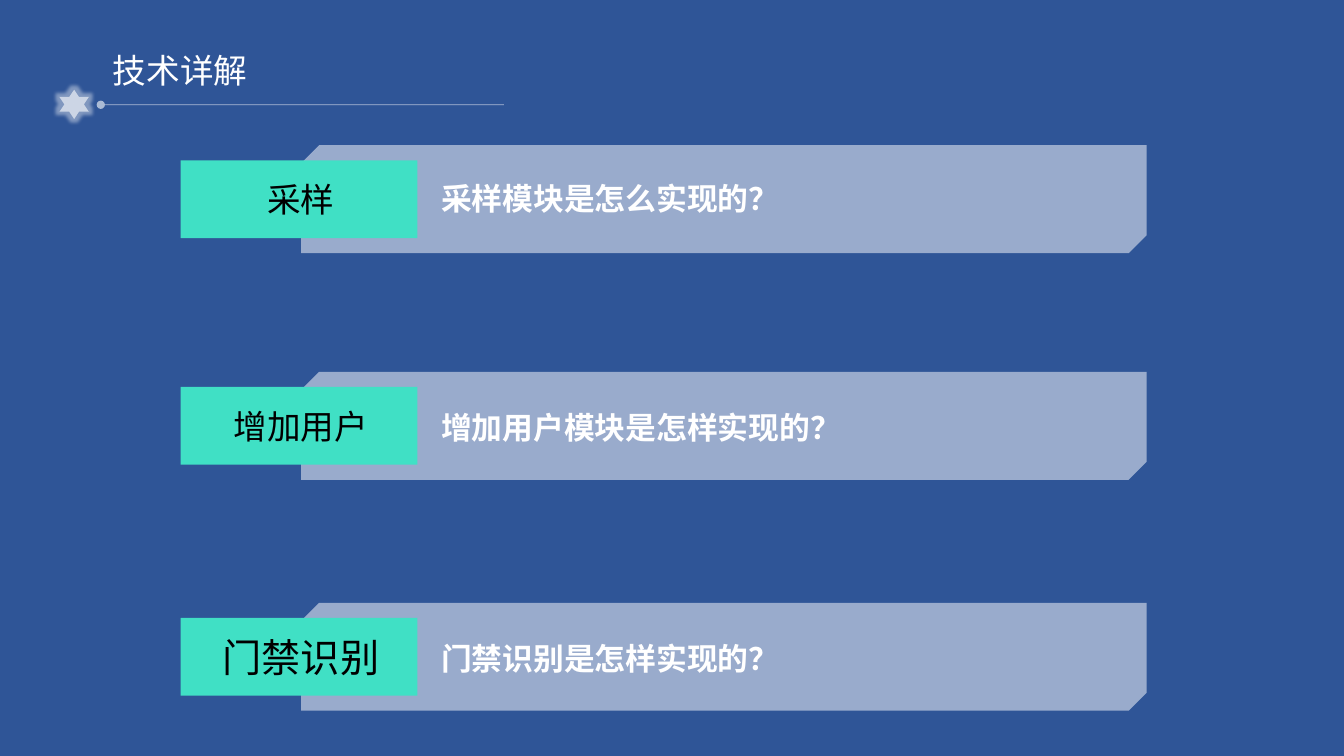
import pptx
import pptx.util
import pptx.dml.color
import pptx.enum.shapes
import pptx.enum.text
import pptx.oxml
import pptx.oxml.ns
from pptx.util import Cm

# Content
TITLE = "技术详解"
MODULES = [  # tab label, label size, question, panel top, question offset
    ("采样", 24, "采样模块是怎么实现的？", 3.66, 0.74),
    ("增加用户", 24, "增加用户模块是怎样实现的？", 9.37, 0.81),
    ("门禁识别", 28, "门禁识别是怎样实现的？", 15.19, 0.81),
]
COLORS = {"back": "2F5597", "white": "FFFFFF", "tab": "40E0C5", "black": "000000"}
FONT = "Noto Sans CJK SC"
PANEL_H, TAB_H = 2.72, 1.96

SHAPE = pptx.enum.shapes.MSO_SHAPE
ANCHOR = pptx.enum.text.MSO_ANCHOR
ALIGN = pptx.enum.text.PP_ALIGN
qn = pptx.oxml.ns.qn


def rgb(name):
    return pptx.dml.color.RGBColor.from_string(COLORS[name])


def add_xml(parent, xml):
    tag, rest = xml.split(" ", 1)
    node = pptx.oxml.parse_xml(f"{tag} {pptx.oxml.ns.nsdecls('a')} {rest}")
    parent.append(node)


def set_alpha(fill, percent):
    for color in fill._xPr.iter(qn("a:srgbClr")):
        add_xml(color, f'<a:alpha val="{percent * 1000}"/>')


def add_shape(s, kind, box, color, alpha=100):
    sp = s.shapes.add_shape(kind, *map(Cm, box))
    sp.shadow.inherit = False
    sp.fill.solid()
    sp.fill.fore_color.rgb = rgb(color)
    if alpha < 100:
        set_alpha(sp.fill, alpha)
    sp.line.fill.background()
    return sp


def write(sp, text, size, color, bold=False, align=ALIGN.LEFT, anchor=ANCHOR.TOP):
    tf = sp.text_frame
    tf.word_wrap = True
    tf.auto_size = pptx.enum.text.MSO_AUTO_SIZE.NONE
    tf.vertical_anchor = anchor
    p = tf.paragraphs[0]
    p.alignment = align
    r = p.add_run()
    r.text = text
    r.font.size = pptx.util.Pt(size)
    r.font.bold = bold
    r.font.name = FONT
    r.font.color.rgb = rgb(color)
    add_xml(r.font._element, f'<a:ea typeface="{FONT}"/>')
    return p


prs = pptx.Presentation()
prs.slide_width, prs.slide_height = Cm(33.87), Cm(19.05)
s = prs.slides.add_slide(prs.slide_layouts[5])
s.background.fill.solid()
s.background.fill.fore_color.rgb = rgb("back")

# Title with its rule and star
title = s.shapes.title
title.left, title.top, title.width, title.height = map(Cm, (2.59, 1.12, 10.01, 2.31))
write(title, TITLE, 24, "white")

rule = s.shapes.add_connector(
    pptx.enum.shapes.MSO_CONNECTOR.STRAIGHT, Cm(12.7), Cm(2.64), Cm(2.54), Cm(2.64))
rule.line.width = pptx.util.Pt(0.5)
rule.line.color.rgb = rgb("white")
set_alpha(rule.line.fill, 60)
add_xml(rule.line._get_or_add_ln(), '<a:tailEnd type="oval"/>')
add_xml(rule._element.spPr, "<a:effectLst />")

star = add_shape(s, SHAPE.STAR_6_POINT, (1.5, 2.26, 0.74, 0.74), "white", 60)
add_xml(star._element.spPr.find(qn("a:effectLst")),
        f'<a:glow rad="63500"><a:srgbClr val="{COLORS["white"]}">'
        '<a:alpha val="40000"/></a:srgbClr></a:glow>')

# One panel, question and tab per module
for label, size, question, top, offset in MODULES:
    panel = add_shape(s, SHAPE.SNIP_2_DIAG_RECTANGLE, (7.59, top, 21.31, PANEL_H), "white", 51)
    panel.adjustments[0], panel.adjustments[1] = 0.1667, 0

    box = s.shapes.add_textbox(*map(Cm, (10.87, top + offset, 18.01, 1.19)))
    write(box, question, 22, "white", bold=True)

    tab_top = top + (PANEL_H - TAB_H) / 2
    tab = add_shape(s, SHAPE.RECTANGLE, (4.55, tab_top, 5.97, TAB_H), "tab")
    p = write(tab, label, size, "black", align=ALIGN.CENTER, anchor=ANCHOR.MIDDLE)
    p._p.get_or_add_pPr().set("marL", str(Cm(0.1)))

prs.save("out.pptx")
